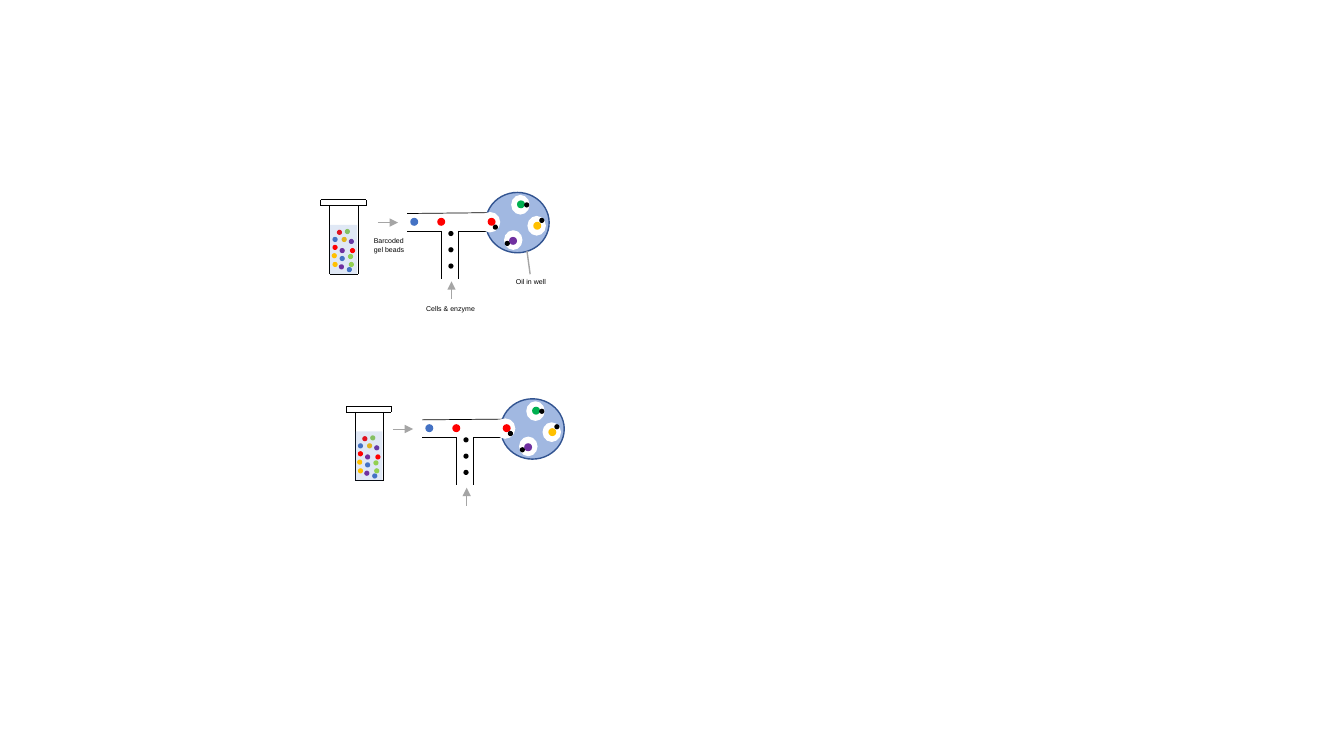
"""Draw two droplet-based cell barcoding set-ups, the upper one labelled."""
from lxml.etree import SubElement
from pptx import Presentation
from pptx.dml.color import RGBColor
from pptx.enum.shapes import MSO_CONNECTOR as Connector, MSO_SHAPE as Preset
from pptx.oxml.ns import qn
from pptx.util import Cm, Pt

BLACK = RGBColor(0x00, 0x00, 0x00)
WHITE = RGBColor(0xFF, 0xFF, 0xFF)
BLUE = RGBColor(0x44, 0x72, 0xC4)
DARK_BLUE = RGBColor(0x32, 0x54, 0x91)
RED = RGBColor(0xFF, 0x00, 0x00)
GOLD = RGBColor(0xFF, 0xC0, 0x00)
LIME = RGBColor(0x92, 0xD0, 0x50)
GREEN = RGBColor(0x00, 0xB0, 0x50)
PURPLE = RGBColor(0x70, 0x30, 0xA0)
GREY = RGBColor(0xA5, 0xA5, 0xA5)

SMALL, LARGE = 0.13, 0.2
ROW_STEP = 5.2
TUBE_STEP, CHIP_STEP = 0.64, 0.38

TUBE_LINES = [
    (0.23, 0.15, 0.23, 1.88), (0.94, 0.15, 0.94, 1.88),
    (0, 0.15, 1.14, 0.15), (0, 0, 1.14, 0),
    (1.14, 0.15, 1.14, 0), (0, 0.15, 0, 0), (0.23, 1.88, 0.94, 1.88),
]
BEADS_BEHIND_LIQUID = [
    (0.3, 0.94, BLUE), (0.41, 0.76, RED), (0.53, 0.94, GOLD),
    (0.61, 0.74, LIME), (0.71, 0.99, PURPLE),
]
BEADS_IN_FRONT = [
    (0.48, 1.42, BLUE), (0.74, 1.22, RED), (0.28, 1.35, GOLD),
    (0.69, 1.37, LIME), (0.48, 1.22, PURPLE), (0.66, 1.7, BLUE),
    (0.3, 1.14, RED), (0.3, 1.57, GOLD), (0.71, 1.57, LIME),
    (0.46, 1.63, PURPLE),
]
CHANNEL_LINES = [
    (0, 0.53, 2.08, 0.51), (0, 0.97, 0.86, 0.97), (1.3, 0.97, 2.08, 0.97),
    (0.86, 0.97, 0.86, 2.18), (1.3, 0.97, 1.3, 2.18),
]
DROPLETS = [
    (1.85, 0.51, 0.48, 0.48), (2.64, 0.08, 0.43, 0.46),
    (2.46, 0.97, 0.43, 0.46), (3.05, 0.61, 0.43, 0.46),
]
GEL_BEADS = [
    (2.03, 0.64, RED), (2.77, 0.2, GREEN), (2.57, 1.12, PURPLE),
    (3.18, 0.74, GOLD), (0.76, 0.64, RED), (0.08, 0.64, BLUE),
]
CELLS = [(1.04, 0.97 + 0.41 * row, BLACK) for row in range(3)] + [
    (2.16, 0.81, BLACK), (2.46, 1.22, BLACK),
    (3.33, 0.64, BLACK), (2.95, 0.25, BLACK),
]
FLOW_ARROWS = [(-0.74, 0.76, -0.23, 0.76), (1.12, 2.69, 1.12, 2.24)]


def add_lines(shapes, origin, segments, color=BLACK, weight=0.5, arrow=False):
    """Draw segments measured from the origin, with arrowheads if asked."""
    left, top = origin
    for x1, y1, x2, y2 in segments:
        line = shapes.add_connector(Connector.STRAIGHT, Cm(left + x1), Cm(top + y1),
                                    Cm(left + x2), Cm(top + y2))
        line.line.color.rgb = color
        line.line.width = Pt(weight)
        if arrow:
            SubElement(line.line._get_or_add_ln(), qn("a:tailEnd"), type="triangle")
        SubElement(line._element.spPr, qn("a:effectLst"))


def add_filled(shapes, origin, box, fill, preset=Preset.OVAL, outline=None, opacity=100):
    """Draw one filled shape whose box is measured from the origin."""
    x, y, width, height = box
    filled = shapes.add_shape(preset, Cm(origin[0] + x), Cm(origin[1] + y),
                              Cm(width), Cm(height))
    filled.shadow.inherit = False
    filled.fill.solid()
    filled.fill.fore_color.rgb = fill
    if opacity < 100:
        color = filled._element.spPr.find(qn("a:solidFill"))[0]
        SubElement(color, qn("a:alpha"), val=str(opacity * 1000))
    if outline is None:
        filled.line.fill.background()
    else:
        filled.line.color.rgb = outline
        filled.line.width = Pt(1)


def add_dots(shapes, origin, dots, size):
    """Draw round dots of one size."""
    for x, y, color in dots:
        add_filled(shapes, origin, (x, y, size, size), color)


def add_label(shapes, text, *, left, top, width, height, size=5, font="Arial", color=BLACK):
    """Write one wrapped label."""
    frame = shapes.add_textbox(Cm(left), Cm(top), Cm(width), Cm(height)).text_frame
    frame.word_wrap = True
    run = frame.paragraphs[0].add_run()
    run.text = text
    run.font.size = Pt(size)
    run.font.name = font
    run.font.color.rgb = color


def add_tube(shapes, origin):
    """Draw the capped tube of barcoded beads."""
    add_lines(shapes, origin, TUBE_LINES)
    add_dots(shapes, origin, BEADS_BEHIND_LIQUID, SMALL)
    add_filled(shapes, origin, (0.23, 0.64, 0.69, 1.24), BLUE,
               preset=Preset.RECTANGLE, opacity=16)
    add_dots(shapes, origin, BEADS_IN_FRONT, SMALL)


def add_chip(shapes, origin):
    """Draw the channels, the oil well with its droplets, and the flow arrows."""
    add_lines(shapes, origin, CHANNEL_LINES)
    add_filled(shapes, origin, (1.98, 0, 1.6, 1.52), BLUE, outline=DARK_BLUE, opacity=50)
    for droplet in DROPLETS:
        add_filled(shapes, origin, droplet, WHITE, outline=WHITE)
    add_dots(shapes, origin, GEL_BEADS, LARGE)
    add_dots(shapes, origin, CELLS, SMALL)
    add_lines(shapes, origin, FLOW_ARROWS, color=GREY, arrow=True)


def main():
    """Build and save the slide."""
    deck = Presentation()
    deck.slide_width, deck.slide_height = Cm(33.87), Cm(19.05)
    shapes = deck.slides.add_slide(deck.slide_layouts[6]).shapes
    for row in range(2):
        add_tube(shapes, (8.08 + TUBE_STEP * row, 5.03 + ROW_STEP * row))
        add_chip(shapes, (10.26 + CHIP_STEP * row, 4.85 + ROW_STEP * row))
    add_label(shapes, "Cells & enzyme", left=10.49, top=7.54, width=1.93, height=0.48)
    add_label(shapes, "Barcoded gel beads", left=9.17, top=5.84, width=1.35, height=0.69)
    add_label(shapes, "Oil in well", left=12.75, top=6.86, width=1.93, height=0.48)
    add_lines(shapes, (0, 0), [(13.28, 6.32, 13.36, 6.91)], color=GREY, weight=1)
    deck.save("out.pptx")


if __name__ == "__main__":
    main()
